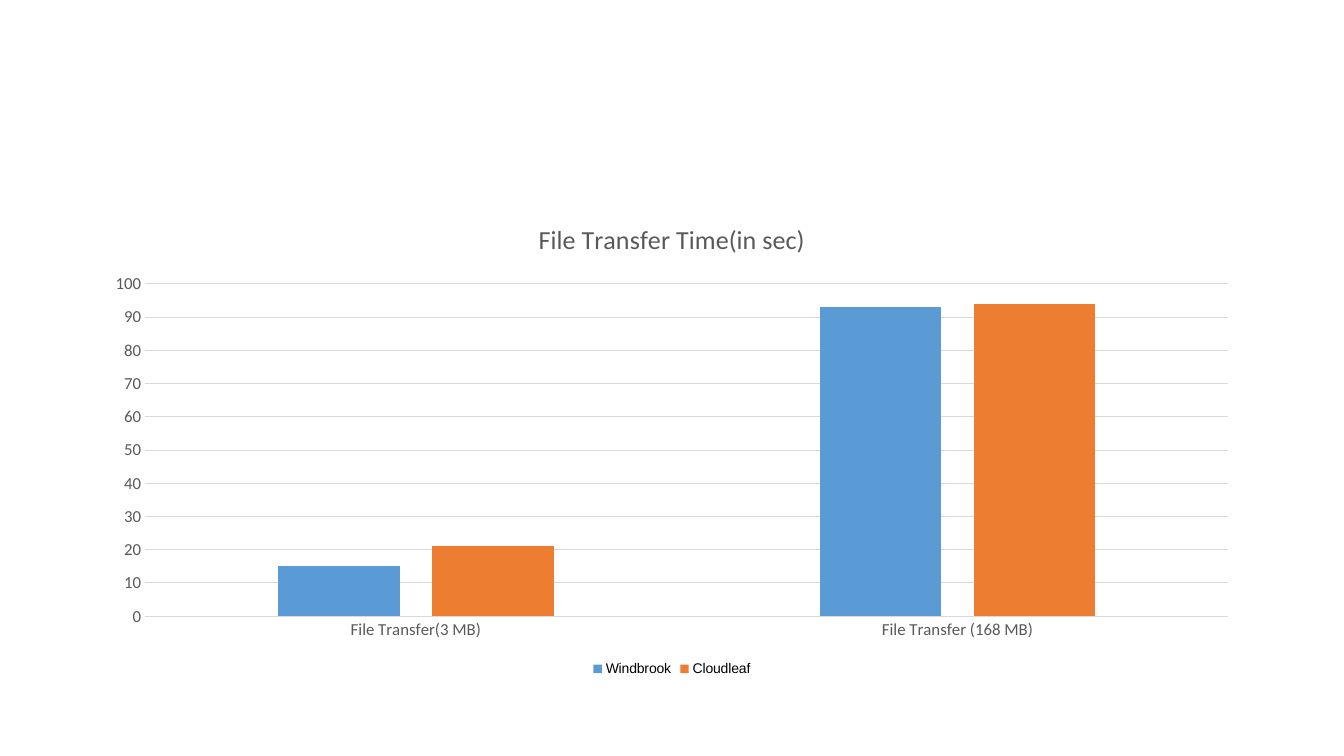
from pptx import Presentation
from pptx.chart.data import CategoryChartData
from pptx.dml.color import RGBColor
from pptx.enum.chart import XL_CHART_TYPE, XL_LEGEND_POSITION, XL_TICK_MARK
from pptx.util import Pt

BLACK = RGBColor(0x00, 0x00, 0x00)
GRAY = RGBColor(0x59, 0x59, 0x59)
LIGHT_GRAY = RGBColor(0xD9, 0xD9, 0xD9)
BLUE = RGBColor(0x5B, 0x9B, 0xD5)
ORANGE = RGBColor(0xED, 0x7D, 0x31)

CATEGORIES = ["File Transfer(3 MB)", "File Transfer (168 MB)"]
TRANSFER_TIMES = [
    ("Windbrook", (15, 93), BLUE),
    ("Cloudleaf", (21, 94), ORANGE),
]


class SlideBuilder:
    """Holds the style and the current slide."""

    def __init__(self, page):
        """Keep the page and the shared style."""
        self.page = page
        self.heading_font = "Calibri"
        self.legend_font = "Arial"

    def style_font(self, font, name, size, color):
        """Set the typeface, size and colour of a font."""
        font.name = name
        font.size = Pt(size)
        font.bold = False
        font.color.rgb = color

    def style_line(self, line):
        """Give a line the thin light gray look."""
        line.color.rgb = LIGHT_GRAY
        line.width = Pt(0.74)

    def style_axis(self, axis):
        """Set the labels and tick marks of an axis."""
        axis.major_tick_mark = XL_TICK_MARK.NONE
        axis.minor_tick_mark = XL_TICK_MARK.NONE
        self.style_font(axis.tick_labels.font, self.heading_font, 12, GRAY)

    def add_title(self, chart, text):
        """Write the chart title."""
        chart.has_title = True
        chart.chart_title.include_in_layout = False
        para = chart.chart_title.text_frame.paragraphs[0]
        span = para.add_run()
        span.text = text
        self.style_font(span.font, self.heading_font, 18.6, GRAY)

    def add_column_chart(self, left, top, width, height, title, categories, rows):
        """Add a clustered column chart with a legend below."""
        data = CategoryChartData(number_format="General")
        data.categories = categories
        for name, values, _ in rows:
            data.add_series(name, values)
        frame = self.page.shapes.add_chart(
            XL_CHART_TYPE.COLUMN_CLUSTERED,
            Pt(left), Pt(top), Pt(width), Pt(height), data)
        chart = frame.chart
        self.style_font(chart.font, self.legend_font, 10, BLACK)
        self.add_title(chart, title)

        plot = chart.plots[0]
        plot.gap_width = 219
        plot.overlap = -27
        plot.vary_by_categories = False
        for series, (_, _, color) in zip(plot.series, rows):
            series.format.fill.solid()
            series.format.fill.fore_color.rgb = color
            series.format.line.fill.background()
            series.invert_if_negative = False

        self.style_axis(chart.category_axis)
        self.style_line(chart.category_axis.format.line)
        value_axis = chart.value_axis
        self.style_axis(value_axis)
        value_axis.minimum_scale = 0
        value_axis.maximum_scale = 100
        value_axis.major_unit = 10
        value_axis.format.line.fill.background()
        self.style_line(value_axis.major_gridlines.format.line)

        chart.has_legend = True
        chart.legend.position = XL_LEGEND_POSITION.BOTTOM
        chart.legend.include_in_layout = False
        self.style_font(chart.legend.font, self.legend_font, 10, BLACK)


deck = Presentation()
deck.slide_width = Pt(960)
deck.slide_height = Pt(540)
builder = SlideBuilder(deck.slides.add_slide(deck.slide_layouts[6]))
builder.add_column_chart(
    66, 143.75, 828, 342.6, "File Transfer Time(in sec)", CATEGORIES, TRANSFER_TIMES)
deck.save("out.pptx")
